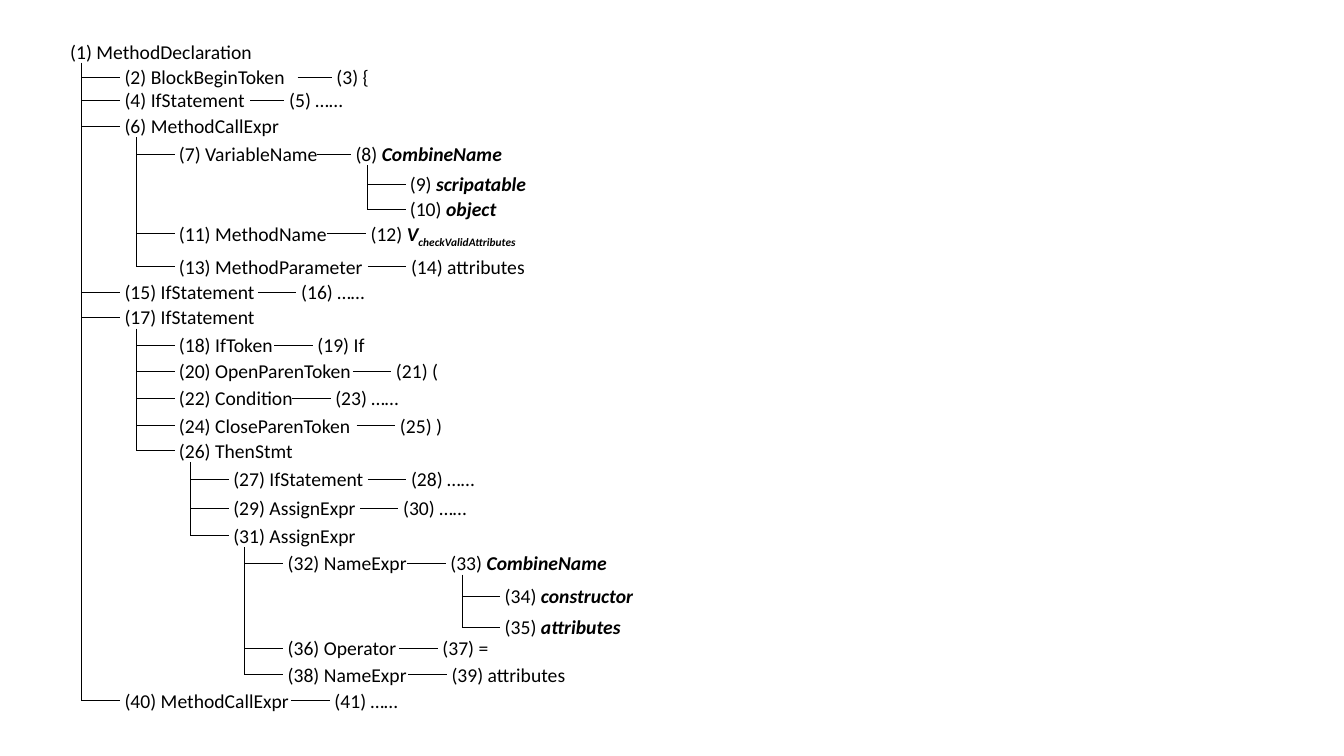
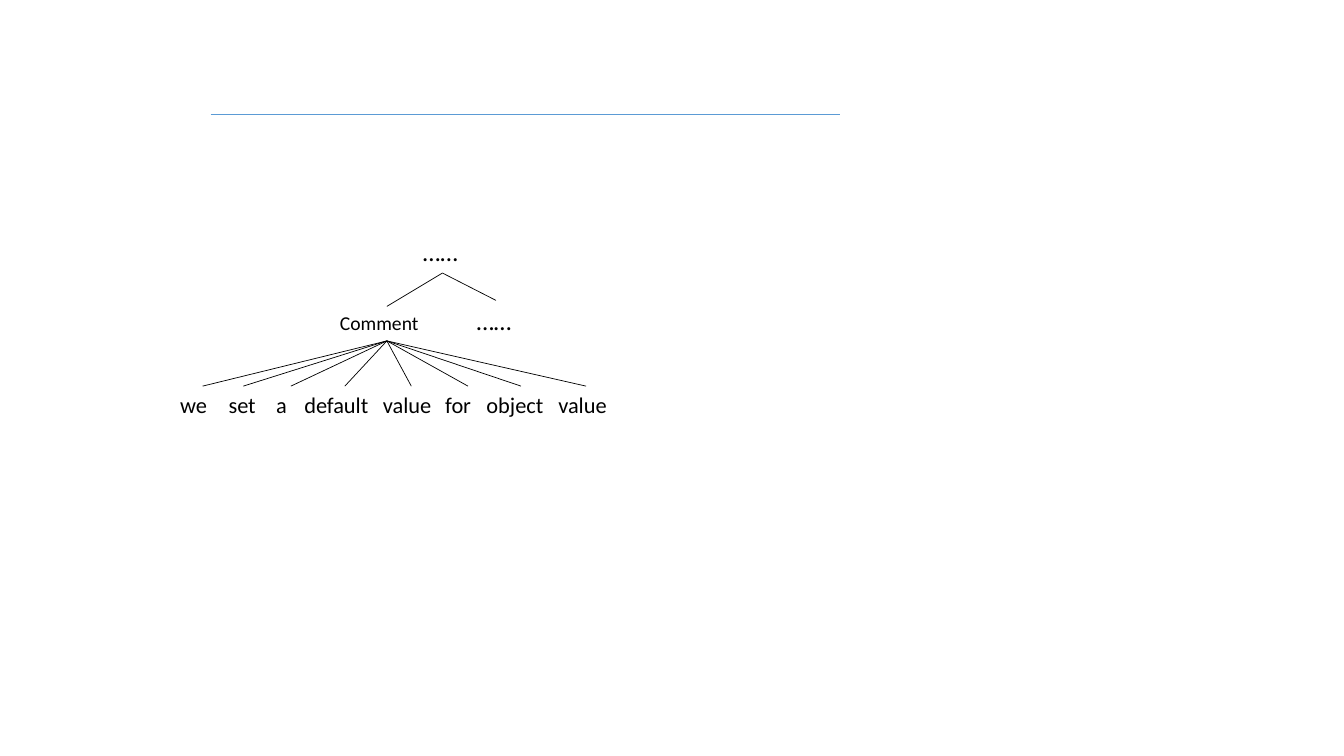
from dataclasses import dataclass

from lxml import etree
from pptx import Presentation
from pptx.dml.color import RGBColor
from pptx.enum.shapes import MSO_CONNECTOR
from pptx.oxml.ns import qn
from pptx.util import Cm, Pt

STRAIGHT = MSO_CONNECTOR.STRAIGHT
BLACK = RGBColor(0x00, 0x00, 0x00)
BLUE = RGBColor(0x5B, 0x9B, 0xD5)
FACE = "Calibri"
BLANK = 6

# Tree measures in cm
ROW = 0.86      # height of a label
STEM = 0.54     # label edge to the trunk below it
GAP = 0.83      # trunk to the label of a child
ARM = 0.97      # length of a branch
STUB = 0.86     # length of a link to a one-digit label
LAP = 0.13      # how far a link reaches into the next label
DROP = 0.28     # label middle to the top of its trunk


@dataclass
class Side:
    """Label to the right of a node, joined by a link."""
    x: float
    text: str
    kids: tuple = ()


@dataclass
class Node:
    """Label on a row; '*' starts bold italics, '_' a subscript."""
    y: float
    text: str
    side: Side = None
    kids: tuple = ()


TREE = Node(0, "(1) MethodDeclaration", kids=(
    Node(0.64, "(2) BlockBeginToken", Side(6.71, "(3) {")),
    Node(1.23, "(4) IfStatement", Side(5.52, "(5) ……")),
    Node(1.88, "(6) MethodCallExpr", kids=(
        Node(2.58, "(7) VariableName", Side(7.19, "(8) *CombineName", (
            Node(3.35, "(9) *scripatable"),
            Node(3.98, "(10) *object")))),
        Node(4.59, "(11) MethodName",
             Side(7.57, "(12) *V_checkValidAttributes")),
        Node(5.42, "(13) MethodParameter", Side(8.59, "(14) attributes")))),
    Node(6.06, "(15) IfStatement", Side(5.82, "(16) ……")),
    Node(6.7, "(17) IfStatement", kids=(
        Node(7.39, "(18) IfToken", Side(6.23, "(19) If")),
        Node(8.05, "(20) OpenParenToken", Side(8.21, "(21) (")),
        Node(8.73, "(22) Condition", Side(6.68, "(23) ……")),
        Node(9.43, "(24) CloseParenToken", Side(8.31, "(25) )")),
        Node(10.06, "(26) ThenStmt", kids=(
            Node(10.78, "(27) IfStatement", Side(8.59, "(28) ……")),
            Node(11.51, "(29) AssignExpr", Side(8.39, "(30) ……")),
            Node(12.2, "(31) AssignExpr", kids=(
                Node(12.9, "(32) NameExpr", Side(9.58, "(33) *CombineName", (
                    Node(13.73, "(34) *constructor"),
                    Node(14.5, "(35) *attributes")))),
                Node(15.03, "(36) Operator", Side(9.38, "(37) =")),
                Node(15.7, "(38) NameExpr",
                     Side(9.61, "(39) attributes")))))))),
    Node(16.36, "(40) MethodCallExpr", Side(6.66, "(41) ……"))))

# Word, left edge, width
WORDS = (("we", 0, 1.63), ("set", 1.22, 1.24), ("a", 2.42, 1.24),
         ("default", 3.13, 2.54), ("value", 5.11, 1.93), ("for", 6.68, 1.65),
         ("object", 7.72, 2.24), ("value", 9.53, 1.9))


# Shared parts
def line(slide, x1, y1, x2, y2, hue=BLACK):
    link = slide.shapes.add_connector(STRAIGHT, Cm(x1), Cm(y1), Cm(x2), Cm(y2))
    link.line.color.rgb = hue
    link.line.width = Pt(0.5)
    etree.SubElement(link._element.spPr, qn("a:effectLst"))


def label(slide, x, y, wide, high, text, size=14):
    box = slide.shapes.add_textbox(Cm(x), Cm(y), Cm(wide), Cm(high))
    box.text_frame.word_wrap = True
    para = box.text_frame.paragraphs[0]
    para.font.name = FACE
    para.font.size = Pt(size)
    para.font.color.rgb = BLACK
    plain, _, rest = text.partition("*")
    strong, _, low = rest.partition("_")
    para.add_run().text = plain
    for part in filter(None, (strong, low)):
        run = para.add_run()
        run.text = part
        run.font.bold = run.font.italic = True
        if part == low:
            run._r.get_or_add_rPr().set("baseline", "-25000")


# Syntax tree with trunks and branches
def entry(slide, x, y, text):
    label(slide, x, y - ROW / 2, 1 + 0.25 * len(text), ROW, text)


def limbs(slide, left, top, x, y, kids):
    if not kids:
        return
    trunk = x + STEM
    line(slide, trunk, y + DROP, trunk, top + kids[-1].y)
    for kid in kids:
        row = top + kid.y
        line(slide, trunk, row, trunk + ARM, row)
        grow(slide, left, top, trunk + GAP, kid)


def grow(slide, left, top, x, node):
    y = top + node.y
    entry(slide, x, y, node.text)
    limbs(slide, left, top, x, y, node.kids)
    if node.side:
        side = node.side
        edge = left + side.x
        reach = STUB if side.text.index(")") == 2 else ARM
        line(slide, edge + LAP - reach, y, edge + LAP, y)
        entry(slide, edge, y, side.text)
        limbs(slide, left, top, edge, y, side.kids)


# Comment tree: each link ends at the top centre of a label
def fan(slide, left, top):
    peak, hub, leaf = left + 6.86, left + 5.46, top + 3.89
    fork, base = top + 1.04, top + 2.75
    label(slide, peak - 0.74, top, 1.48, 1.02, "……", 18)
    for text, mid, head, wide, high, size in (
            ("Comment", hub, top + 1.88, 2.87, 0.86, 14),
            ("……", left + 8.21, top + 1.73, 1.48, 1.02, 18)):
        label(slide, mid - wide / 2, head, wide, high, text, size)
        line(slide, peak, fork, mid, head)
    for word, x, wide in WORDS:
        label(slide, left + x, leaf, wide, 0.94, word, 16)
        line(slide, hub, base, left + x + wide / 2, leaf)


def main():
    deck = Presentation()
    deck.slide_width, deck.slide_height = Cm(33.87), Cm(19.05)
    first, second = (deck.slides.add_slide(deck.slide_layouts[BLANK])
                     for _ in range(2))
    grow(first, 1.52, 1.3, 1.52, TREE)
    line(second, 5.31, 2.87, 21.18, 2.87, BLUE)
    fan(second, 4.29, 5.84)
    deck.save("out.pptx")


if __name__ == "__main__":
    main()
